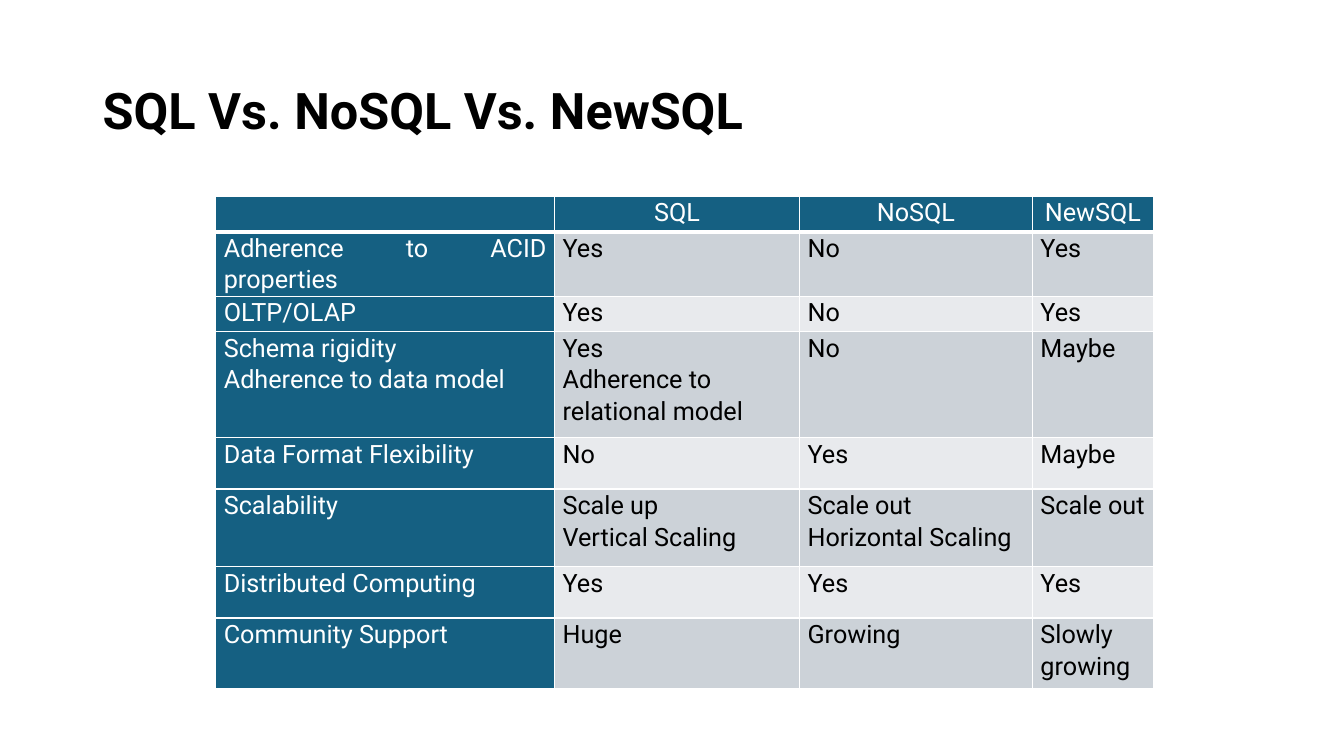
from dataclasses import dataclass

from lxml.etree import SubElement
from pptx import Presentation
from pptx.dml.color import RGBColor as Color
from pptx.enum.text import MSO_ANCHOR as Anchor, PP_ALIGN as Align
from pptx.oxml.ns import qn
from pptx.util import Emu, Pt

PX = 9144


@dataclass(frozen=True)
class Theme:
    font: str = "Roboto"
    title_size: int = 36
    cell_size: int = 18
    dark: str = "000000"
    light: str = "FFFFFF"
    header: str = "156082"
    bands: tuple = ("CCD2D8", "E8EAED")


THEME = Theme()
TITLE_BOX = (92, 40, 1150, 145)
TABLE_BOX = (214, 195, 930, 475)
COLUMN_WIDTHS = (336, 243, 231, 120)
ROW_HEIGHTS = (35, 51, 35, 105, 51, 77, 51, 70)
COMPARISON = (
    ("", "SQL", "NoSQL", "NewSQL"),
    ("Adherence to ACID properties", "Yes", "No", "Yes"),
    ("OLTP/OLAP", "Yes", "No", "Yes"),
    ("Schema rigidity\nAdherence to data model",
     "Yes\nAdherence to relational model", "No", "Maybe"),
    ("Data Format Flexibility", "No", "Yes", "Maybe"),
    ("Scalability", "Scale up\nVertical Scaling",
     "Scale out\nHorizontal Scaling", "Scale out"),
    ("Distributed Computing", "Yes", "Yes", "Yes"),
    ("Community Support", "Huge", "Growing", "Slowly growing"),
)


def px(length):
    return Emu(length * PX)


def write_text(frame, text, *, size, color, bold=False, align=Align.LEFT, spacing=1.0):
    frame.word_wrap = True
    for index, line in enumerate(text.split("\n")):
        para = frame.paragraphs[0] if index == 0 else frame.add_paragraph()
        para.alignment = align
        para.line_spacing = spacing
        para.font.size = Pt(size)
        if line:
            span = para.add_run()
            span.text = line
            span.font.name = THEME.font
            span.font.size = Pt(size)
            span.font.bold = bold
            span.font.color.rgb = Color.from_string(color)


def draw_borders(cell, bottom_width):
    properties = cell._tc.get_or_add_tcPr()
    widths = {"a:lnL": 1, "a:lnR": 1, "a:lnT": 1, "a:lnB": bottom_width}
    for tag, width in widths.items():
        line = SubElement(properties, qn(tag), w=str(Pt(width)))
        fill = SubElement(line, qn("a:solidFill"))
        SubElement(fill, qn("a:srgbClr"), val=THEME.light)


def add_title(page, box, text):
    frame = page.shapes.add_textbox(*map(px, box)).text_frame
    frame.vertical_anchor = Anchor.MIDDLE
    write_text(frame, text, size=THEME.title_size, color=THEME.dark, bold=True, spacing=0.9)


def format_cell(cell, text, row, column):
    is_header = row == 0 or column == 0
    if row == 0:
        align = Align.CENTER
    else:
        align = Align.LEFT if column == 1 else Align.JUSTIFY
    cell.margin_left = cell.margin_right = px(8)
    cell.margin_top = cell.margin_bottom = 0
    draw_borders(cell, 3 if row == 0 else 1)
    cell.fill.solid()
    fill = THEME.header if is_header else THEME.bands[(row - 1) % 2]
    cell.fill.fore_color.rgb = Color.from_string(fill)
    write_text(cell.text_frame, text, size=THEME.cell_size,
               color=THEME.light if is_header else THEME.dark, align=align, spacing=1.07)


def add_comparison(page, box, rows):
    table = page.shapes.add_table(len(rows), len(rows[0]), *map(px, box)).table
    for column, width in zip(table.columns, COLUMN_WIDTHS):
        column.width = px(width)
    for table_row, height in zip(table.rows, ROW_HEIGHTS):
        table_row.height = px(height)
    for row, texts in enumerate(rows):
        for column, text in enumerate(texts):
            format_cell(table.cell(row, column), text, row, column)


def main():
    deck = Presentation()
    deck.slide_width, deck.slide_height = px(1333), px(750)
    page = deck.slides.add_slide(deck.slide_layouts[6])
    add_title(page, TITLE_BOX, "SQL Vs. NoSQL Vs. NewSQL")
    add_comparison(page, TABLE_BOX, COMPARISON)
    deck.save("out.pptx")


if __name__ == "__main__":
    main()
